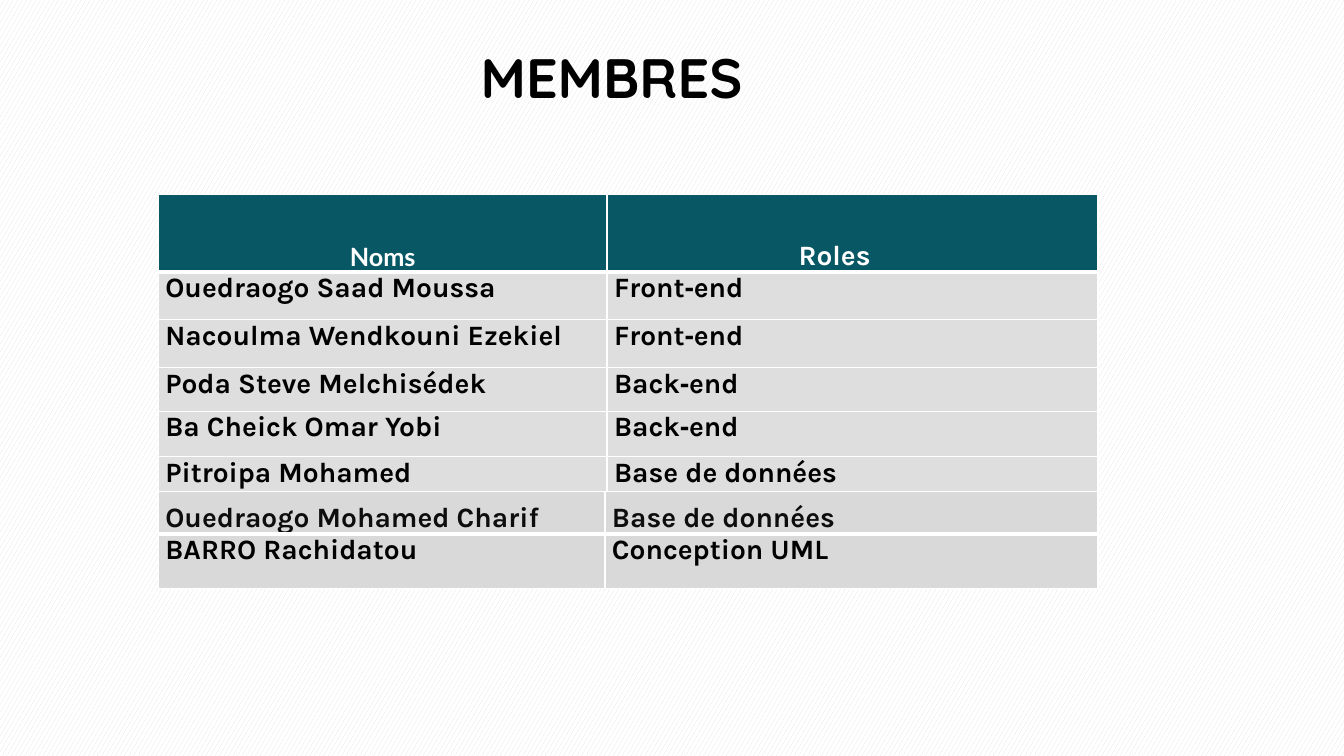
from dataclasses import dataclass

from lxml.etree import SubElement
from pptx import Presentation
from pptx.dml.color import RGBColor
from pptx.enum.dml import MSO_PATTERN
from pptx.enum.text import MSO_ANCHOR, MSO_AUTO_SIZE, PP_ALIGN
from pptx.oxml.ns import qn
from pptx.slide import Slide
from pptx.table import _Cell
from pptx.util import Inches, Pt

COLORS = {
    "white": "FFFFFF",
    "black": "000000",
    "ink": "0D0D0D",
    "teal": "085764",
    "grey": "DEDEDE",
    "dark_grey": "D9D9D9",
}
THIN, THICK = 1, 3
PADDING = 0.07


@dataclass
class Style:
    fill: str
    color: str = "black"
    anchor: MSO_ANCHOR = MSO_ANCHOR.TOP
    top: int = THIN
    bottom: int = THIN


@dataclass
class Row:
    height: float
    texts: tuple[str, str]
    style: Style


HEADER = Style("teal", "white", MSO_ANCHOR.BOTTOM, bottom=THICK)
FIRST = Style("grey", top=THICK)
BODY = Style("grey")
UPPER = Style("dark_grey", "ink", MSO_ANCHOR.BOTTOM, bottom=THICK)
LOWER = Style("dark_grey", top=THICK)

MEMBERS = [
    Row(0.77, ("Noms", "Roles"), HEADER),
    Row(0.47, ("Ouedraogo Saad Moussa", "Front‑end"), FIRST),
    Row(0.48, ("Nacoulma Wendkouni Ezekiel", "Front‑end"), BODY),
    Row(0.43, ("Poda Steve Melchisédek", "Back‑end"), BODY),
    Row(0.45, ("Ba Cheick Omar Yobi", "Back‑end"), BODY),
    Row(0.58, ("Pitroipa Mohamed", "Base de données"), BODY),
]
MORE_MEMBERS = [
    Row(0.42, ("Ouedraogo Mohamed Charif", "Base de données"), UPPER),
    Row(0.54, ("BARRO Rachidatou", "Conception UML"), LOWER),
]


def rgb(name: str) -> RGBColor:
    return RGBColor.from_string(COLORS[name])


def set_borders(cell: _Cell, style: Style) -> None:
    """Add white cell borders; call before filling, as the schema wants lines first."""
    tc_pr = cell._tc.get_or_add_tcPr()
    widths = {"L": THIN, "R": THIN, "T": style.top, "B": style.bottom}
    for side, width in widths.items():
        ln = SubElement(tc_pr, qn(f"a:ln{side}"), w=str(Pt(width)))
        fill = SubElement(ln, qn("a:solidFill"))
        SubElement(fill, qn("a:srgbClr"), val=COLORS["white"])


def format_cell(cell: _Cell, text: str, style: Style) -> None:
    set_borders(cell, style)
    cell.fill.solid()
    cell.fill.fore_color.rgb = rgb(style.fill)
    cell.vertical_anchor = style.anchor
    cell.margin_left = cell.margin_right = Inches(PADDING)
    cell.margin_top = cell.margin_bottom = 0
    p = cell.text_frame.paragraphs[0]
    p.space_before = p.space_after = Pt(1.8)
    r = p.add_run()
    r.text = text
    r.font.name = "Karla"
    r.font.size = Pt(20)
    r.font.bold = True
    r.font.color.rgb = rgb(style.color)


def add_members(slide: Slide, top: float, widths: tuple[float, float],
                rows: list[Row], has_header: bool):
    height = sum(row.height for row in rows)
    table = slide.shapes.add_table(
        len(rows), len(widths), Inches(1.57), Inches(top),
        Inches(sum(widths)), Inches(height)).table
    table.first_row = has_header
    table.horz_banding = False
    for column, width in zip(table.columns, widths):
        column.width = Inches(width)
    for i, row in enumerate(rows):
        table.rows[i].height = Inches(row.height)
        for j, text in enumerate(row.texts):
            format_cell(table.cell(i, j), text, row.style)
    return table


def add_title(slide: Slide, text: str) -> None:
    sp = slide.shapes.title
    sp.left, sp.top = Inches(0), Inches(0.49)
    sp.width, sp.height = Inches(12.13), Inches(0.62)
    tf = sp.text_frame
    tf.auto_size = MSO_AUTO_SIZE.NONE
    tf.vertical_anchor = MSO_ANCHOR.MIDDLE
    p = tf.paragraphs[0]
    p.alignment = PP_ALIGN.CENTER
    p.line_spacing = 0.9
    r = p.add_run()
    r.text = text
    r.font.name = "Quicksand"
    r.font.size = Pt(39.6)
    r.font.bold = True
    r.font.color.rgb = rgb("black")


def main() -> None:
    prs = Presentation()
    prs.slide_width, prs.slide_height = Inches(13.33), Inches(7.5)
    slide = prs.slides.add_slide(prs.slide_layouts[5])

    background = slide.background.fill
    background.patterned()
    background.pattern = MSO_PATTERN.LARGE_CONFETTI
    background.fore_color.rgb = rgb("grey")
    background.back_color.rgb = rgb("white")

    add_title(slide, "MEMBRES")
    table = add_members(slide, 1.93, (4.45, 4.87), MEMBERS, True)
    names, roles = table.cell(0, 0), table.cell(0, 1)
    p = names.text_frame.paragraphs[0]
    p.alignment = PP_ALIGN.CENTER
    p.runs[0].font.name = "Lato"
    p.runs[0].font.size = Pt(18)
    roles.margin_left = Inches(1.9)

    add_members(slide, 4.88, (4.43, 4.89), MORE_MEMBERS, False)
    prs.save("out.pptx")


if __name__ == "__main__":
    main()
